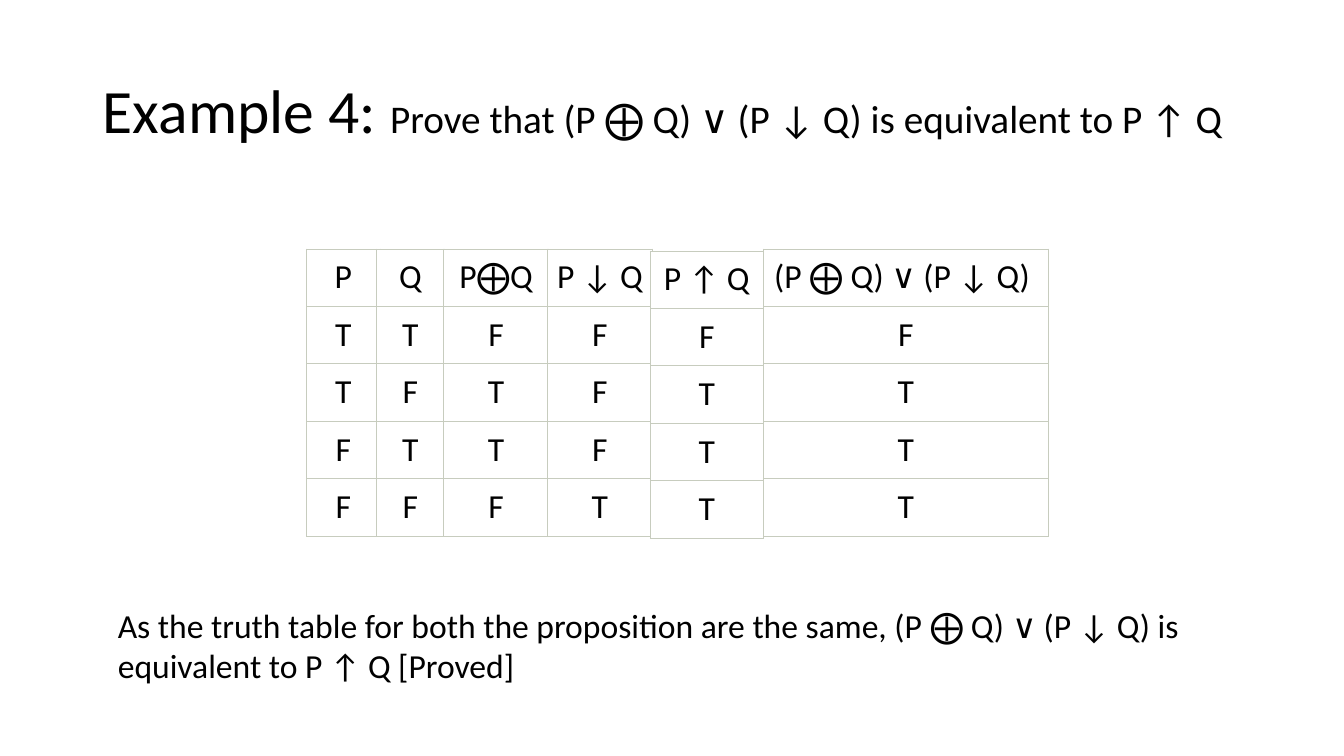
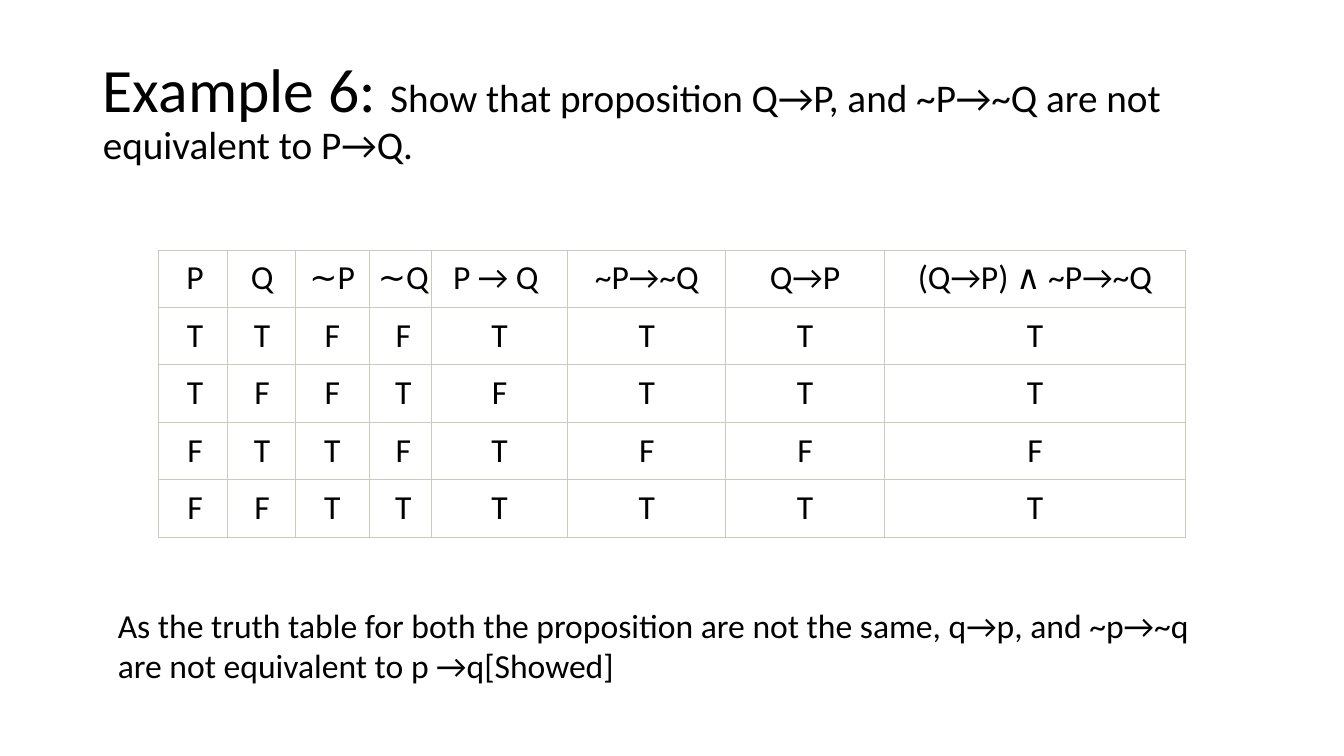
from dataclasses import dataclass

from lxml.etree import SubElement
from pptx import Presentation
from pptx.dml.color import RGBColor
from pptx.enum.text import MSO_ANCHOR, MSO_AUTO_SIZE, PP_ALIGN
from pptx.oxml.ns import qn
from pptx.slide import Slide
from pptx.util import Inches, Pt

# Shared style
FONT = "Calibri"
INK = "000000"
PAPER = "FFFFFF"
RULE = "C7CCBE"
RULE_WIDTH = Pt(0.75)
ROW_HEIGHT = 0.57
CELL_INSET = Inches(0.08)
TITLE_ONLY = 5


@dataclass
class TruthColumn:
    left: float
    width: float
    heading: str
    values: str  # one letter per row
    drop: float = 0  # offset below the common top


@dataclass
class Example:
    label: str
    task: str
    table_top: float
    columns: list[TruthColumn]
    conclusion: str


EXAMPLES = [
    Example(
        "Example 4: ",
        "Prove that (P ⨁ Q) ∨ (P ↓ Q) is equivalent to P ↑ Q",
        2.47,
        [
            TruthColumn(3.04, 0.73, "P", "TTFF"),
            TruthColumn(3.73, 0.68, "Q", "TFTF"),
            TruthColumn(4.4, 1.04, "P⨁Q", "FTTF"),
            TruthColumn(5.43, 1.04, "P ↓ Q", "FFFT"),
            TruthColumn(6.45, 1.12, "P ↑ Q", "FTTT", drop=0.02),
            TruthColumn(7.57, 2.83, "(P ⨁ Q) ∨ (P ↓ Q) ", "FTTT"),
        ],
        "As the truth table for both the proposition are the same, "
        "(P ⨁ Q) ∨ (P ↓ Q) is equivalent to P ↑ Q [Proved]",
    ),
    Example(
        "Example 6: ",
        "Show that proposition Q→P, and ~P→~Q are not equivalent to P→Q.",
        2.48,
        [
            TruthColumn(1.57, 0.73, "P", "TTFF"),
            TruthColumn(2.26, 0.68, "Q", "TFTF"),
            TruthColumn(2.93, 0.73, "∼P", "FFTT"),
            TruthColumn(3.66, 0.68, "∼Q", "FTFT"),
            TruthColumn(4.28, 1.35, "P → Q ", "TFTT"),
            TruthColumn(5.63, 1.57, "~P→~Q", "TTFT"),
            TruthColumn(7.2, 1.57, "Q→P", "TTFT"),
            TruthColumn(8.77, 2.99, "(Q→P) ∧ ~P→~Q", "TTFT"),
        ],
        "As the truth table for both the proposition are not the same, "
        "q→p, and ~p→~q are not equivalent to p →q[Showed]",
    ),
]


def paint(color_format, hex_color: str) -> None:
    color_format.rgb = RGBColor.from_string(hex_color)


def add_text(paragraph, text: str, size: int) -> None:
    run = paragraph.add_run()
    run.text = text
    run.font.name = FONT
    run.font.size = Pt(size)
    paint(run.font.color, INK)


def add_borders(cell) -> None:
    properties = cell._tc.get_or_add_tcPr()
    for side in ("lnL", "lnR", "lnT", "lnB"):
        line = SubElement(properties, qn(f"a:{side}"), w=str(RULE_WIDTH))
        fill = SubElement(line, qn("a:solidFill"))
        SubElement(fill, qn("a:srgbClr"), val=RULE)


def add_title(slide: Slide, label: str, task: str) -> None:
    title = slide.shapes.title
    title.left, title.top = Inches(0.92), Inches(0.4)
    title.width, title.height = Inches(11.5), Inches(1.45)
    frame = title.text_frame
    frame.auto_size = MSO_AUTO_SIZE.NONE
    frame.vertical_anchor = MSO_ANCHOR.MIDDLE
    paragraph = frame.paragraphs[0]
    paragraph.alignment = PP_ALIGN.LEFT
    paragraph.line_spacing = 0.9
    add_text(paragraph, label, 44)
    add_text(paragraph, task, 28)


def add_truth_column(slide: Slide, column: TruthColumn, top: float) -> None:
    entries = [column.heading, *column.values]
    table = slide.shapes.add_table(
        len(entries), 1,
        Inches(column.left), Inches(top + column.drop),
        Inches(column.width), Inches(ROW_HEIGHT * len(entries)),
    ).table
    table.first_row = table.horz_banding = False
    for row, entry in enumerate(entries):
        cell = table.cell(row, 0)
        cell.margin_left = cell.margin_right = CELL_INSET
        cell.margin_top = cell.margin_bottom = CELL_INSET
        add_borders(cell)
        cell.fill.solid()
        paint(cell.fill.fore_color, PAPER)
        paragraph = cell.text_frame.paragraphs[0]
        paragraph.alignment = PP_ALIGN.CENTER
        add_text(paragraph, entry, 24)


def add_conclusion(slide: Slide, text: str) -> None:
    box = slide.shapes.add_textbox(
        Inches(1.07), Inches(5.95), Inches(10.85), Inches(0.91))
    frame = box.text_frame
    frame.word_wrap = True
    frame.auto_size = MSO_AUTO_SIZE.SHAPE_TO_FIT_TEXT
    paragraph = frame.paragraphs[0]
    paragraph.space_before = paragraph.space_after = Pt(11)
    add_text(paragraph, text, 24)


def main() -> None:
    deck = Presentation()
    deck.slide_width, deck.slide_height = Inches(13.33), Inches(7.5)
    for example in EXAMPLES:
        slide = deck.slides.add_slide(deck.slide_layouts[TITLE_ONLY])
        add_title(slide, example.label, example.task)
        for column in example.columns:
            add_truth_column(slide, column, example.table_top)
        add_conclusion(slide, example.conclusion)
    deck.save("out.pptx")


if __name__ == "__main__":
    main()
